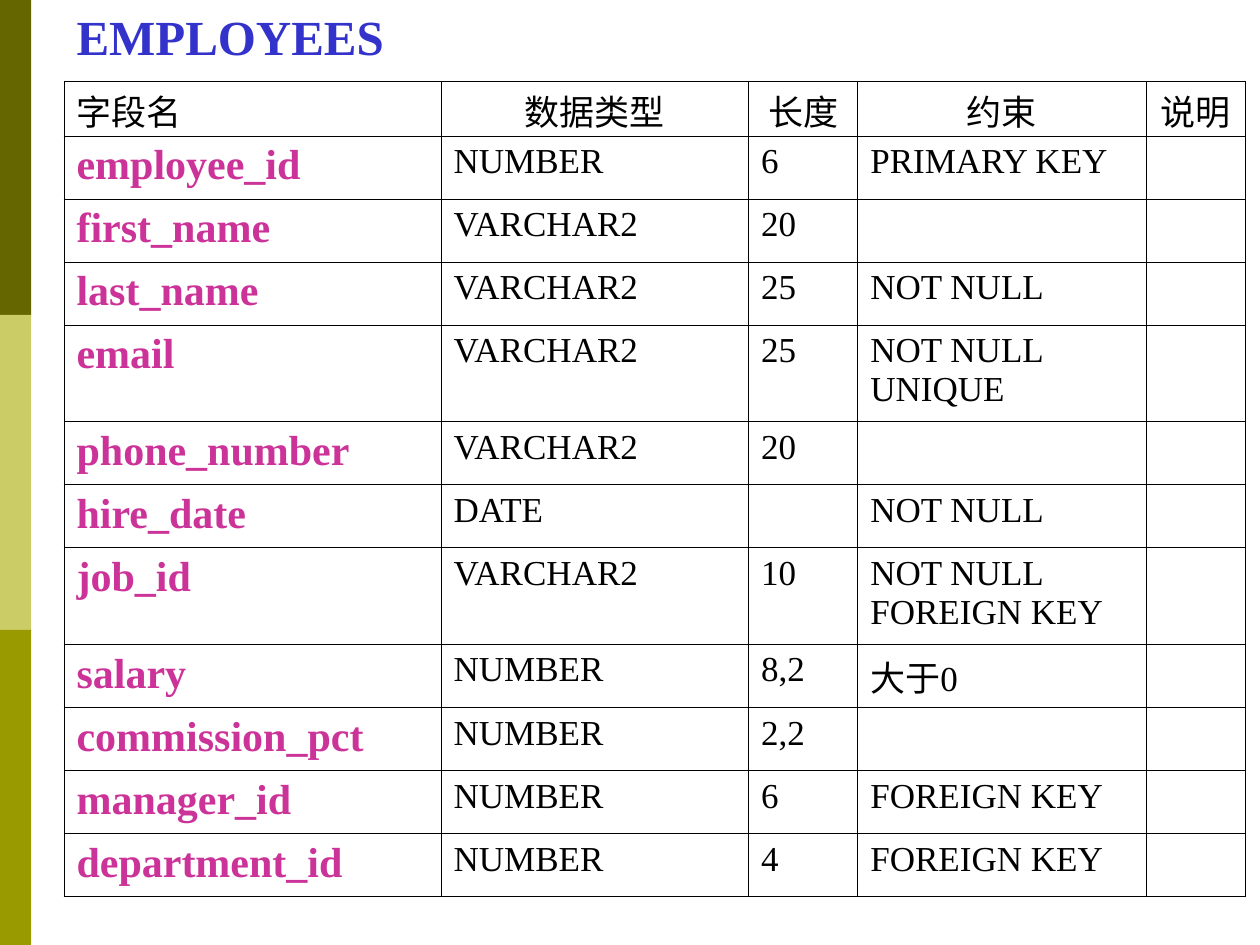
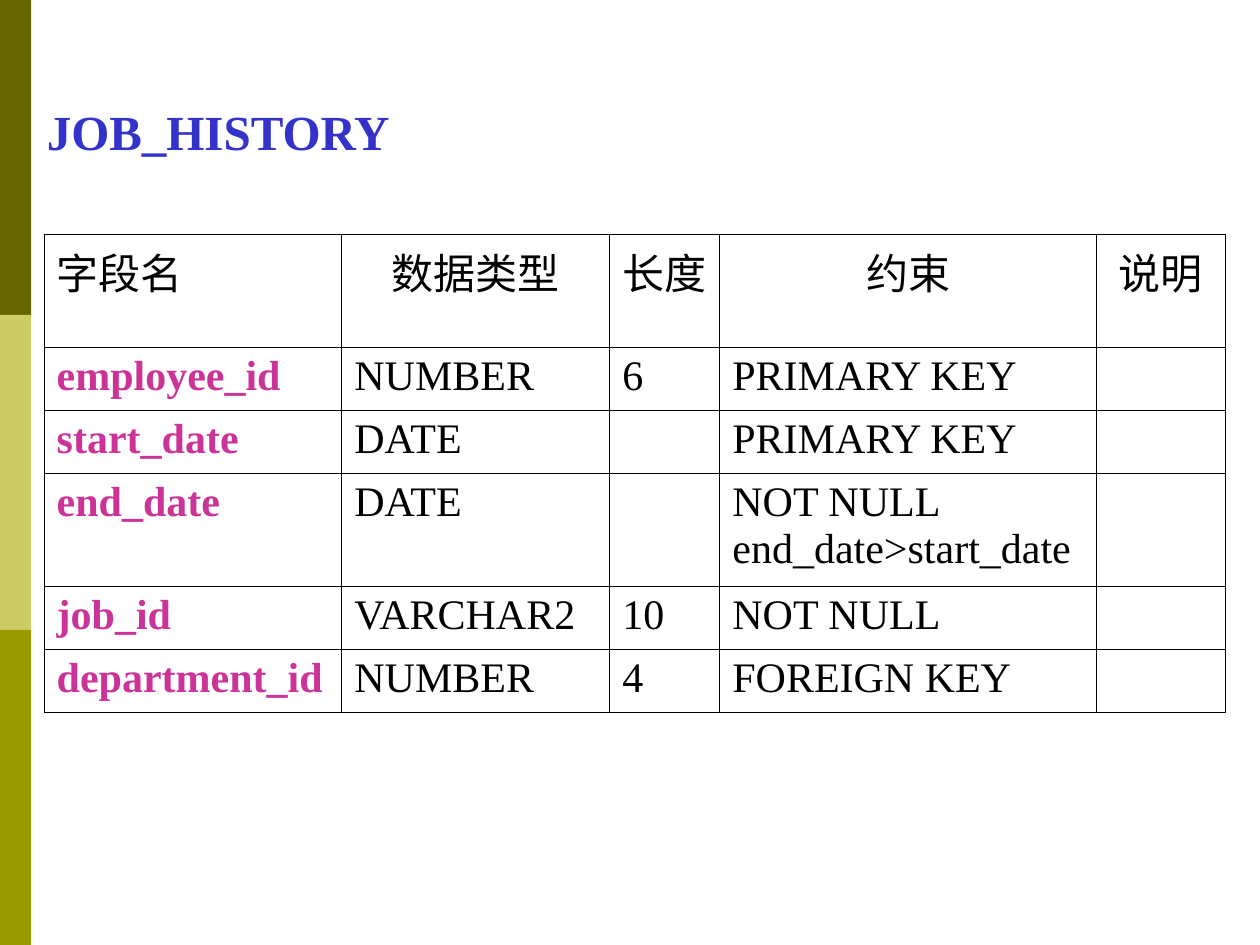
from lxml.etree import SubElement
from pptx import Presentation
from pptx.dml.color import RGBColor
from pptx.enum.shapes import MSO_SHAPE
from pptx.enum.text import MSO_ANCHOR, MSO_AUTO_SIZE, PP_ALIGN
from pptx.oxml.ns import qn
from pptx.util import Cm, Pt

COLORS = {
    "title": "3333CC",
    "field": "CC3399",
    "text": "000000",
    "border": "000000",
    "band_top": "666600",
    "band_middle": "CCCC66",
    "band_bottom": "999900",
}
HEADINGS = ["字段名", "数据类型", "长度", "约束", "说明"]

# Field name, data type, length, constraints (one per line)
EMPLOYEES = [
    ("employee_id", "NUMBER", "6", "PRIMARY KEY"),
    ("first_name", "VARCHAR2", "20", ""),
    ("last_name", "VARCHAR2", "25", "NOT NULL"),
    ("email", "VARCHAR2", "25", "NOT NULL\nUNIQUE"),
    ("phone_number", "VARCHAR2", "20", ""),
    ("hire_date", "DATE", "", "NOT NULL"),
    ("job_id", "VARCHAR2", "10", "NOT NULL\nFOREIGN KEY"),
    ("salary", "NUMBER", "8,2", "大于0"),
    ("commission_pct", "NUMBER", "2,2", ""),
    ("manager_id", "NUMBER", "6", "FOREIGN KEY"),
    ("department_id", "NUMBER", "4", "FOREIGN KEY"),
]
JOB_HISTORY = [
    ("employee_id", "NUMBER", "6", "PRIMARY KEY"),
    ("start_date", "DATE", "", "PRIMARY KEY"),
    ("end_date", "DATE", "", "NOT NULL\nend_date>start_date"),
    ("job_id", "VARCHAR2", "10", "NOT NULL"),
    ("department_id", "NUMBER", "4", "FOREIGN KEY"),
]


class SchemaDeck:
    FONT = "Times New Roman"
    FIELD_SIZE = 24
    ROW_HEIGHT = 1.27

    def __init__(self):
        self.prs = Presentation()
        self.prs.slide_width, self.prs.slide_height = Cm(25.4), Cm(19.05)
        self.layout = self.prs.slide_layouts[5]
        self.slide = None

    def new_slide(self):
        self.slide = self.prs.slides.add_slide(self.layout)

    def side_bands(self):
        """Draw the three side bands and hand them to the shared layout."""
        height = self.prs.slide_height // 3
        for i, name in enumerate(("band_top", "band_middle", "band_bottom")):
            band = self.slide.shapes.add_shape(
                MSO_SHAPE.RECTANGLE, 0, i * height, Cm(0.63), height)
            band.shadow.inherit = False
            band.fill.solid()
            band.fill.fore_color.rgb = RGBColor.from_string(COLORS[name])
            band.line.fill.background()
            self.layout.shapes.element.append(band.element)

    def style(self, paragraph, size, color, bold=False, align=PP_ALIGN.LEFT):
        paragraph.alignment = align
        font = paragraph.font
        font.name, font.size, font.bold = self.FONT, Pt(size), bold
        font.color.rgb = RGBColor.from_string(COLORS[color])

    def title(self, text, left, top, width):
        title = self.slide.shapes.title
        title.left, title.top = Cm(left), Cm(top)
        title.width, title.height = Cm(width), Cm(1.45)
        frame = title.text_frame
        frame.text = text
        frame.word_wrap = True
        frame.auto_size = MSO_AUTO_SIZE.NONE
        frame.vertical_anchor = MSO_ANCHOR.MIDDLE
        self.style(frame.paragraphs[0], 28, "title", bold=True)

    def borders(self, cell):
        properties = cell._tc.get_or_add_tcPr()
        for side in ("a:lnL", "a:lnR", "a:lnT", "a:lnB"):
            line = SubElement(properties, qn(side), w=str(Pt(0.45)))
            fill = SubElement(line, qn("a:solidFill"))
            SubElement(fill, qn("a:srgbClr"), val=COLORS["border"])

    def cell(self, cell, text, **style):
        self.borders(cell)
        cell.fill.background()
        cell.text = text
        for paragraph in cell.text_frame.paragraphs:
            self.style(paragraph, **style)

    def field_table(self, fields, left, top, widths, header_height,
                    tall_height, size, header_spacing=None):
        """Lay out one field per row; two-line constraints get a tall row."""
        heights = [header_height] + [
            tall_height if "\n" in field[3] else self.ROW_HEIGHT
            for field in fields]
        table = self.slide.shapes.add_table(
            len(heights), len(widths), Cm(left), Cm(top),
            Cm(sum(widths)), Cm(sum(heights))).table
        table.first_row = table.horz_banding = False
        for column, width in zip(table.columns, widths):
            column.width = Cm(width)
        for row, height in zip(table.rows, heights):
            row.height = Cm(height)

        for c, heading in enumerate(HEADINGS):
            header = table.cell(0, c)
            self.cell(header, heading, size=size, color="text",
                      align=PP_ALIGN.CENTER if c else PP_ALIGN.LEFT)
            # A tight line and no bottom margin keep the header row low
            header.margin_bottom = 0
            header.text_frame.paragraphs[0].line_spacing = header_spacing
        for r, (name, *details) in enumerate(fields, start=1):
            self.cell(table.cell(r, 0), name, size=self.FIELD_SIZE,
                      color="field", bold=True)
            # The description column stays empty
            for c, detail in enumerate([*details, ""], start=1):
                self.cell(table.cell(r, c), detail, size=size, color="text")


def main():
    deck = SchemaDeck()

    # EMPLOYEES table
    deck.new_slide()
    deck.side_bands()
    deck.title("EMPLOYEES", 1.29, 0, 7.4)
    deck.field_table(EMPLOYEES, 1.29, 1.64, [7.6, 6.2, 2.2, 5.81, 2],
                     header_height=1.1, tall_height=1.95, size=20,
                     header_spacing=Pt(27.5))

    # JOB_HISTORY table
    deck.new_slide()
    deck.title("JOB_HISTORY", 0.69, 1.92, 11.4)
    deck.field_table(JOB_HISTORY, 0.89, 4.72, [6, 5.4, 2.22, 7.59, 2.6],
                     header_height=2.28, tall_height=2.28, size=24)

    deck.prs.save("out.pptx")


if __name__ == "__main__":
    main()
